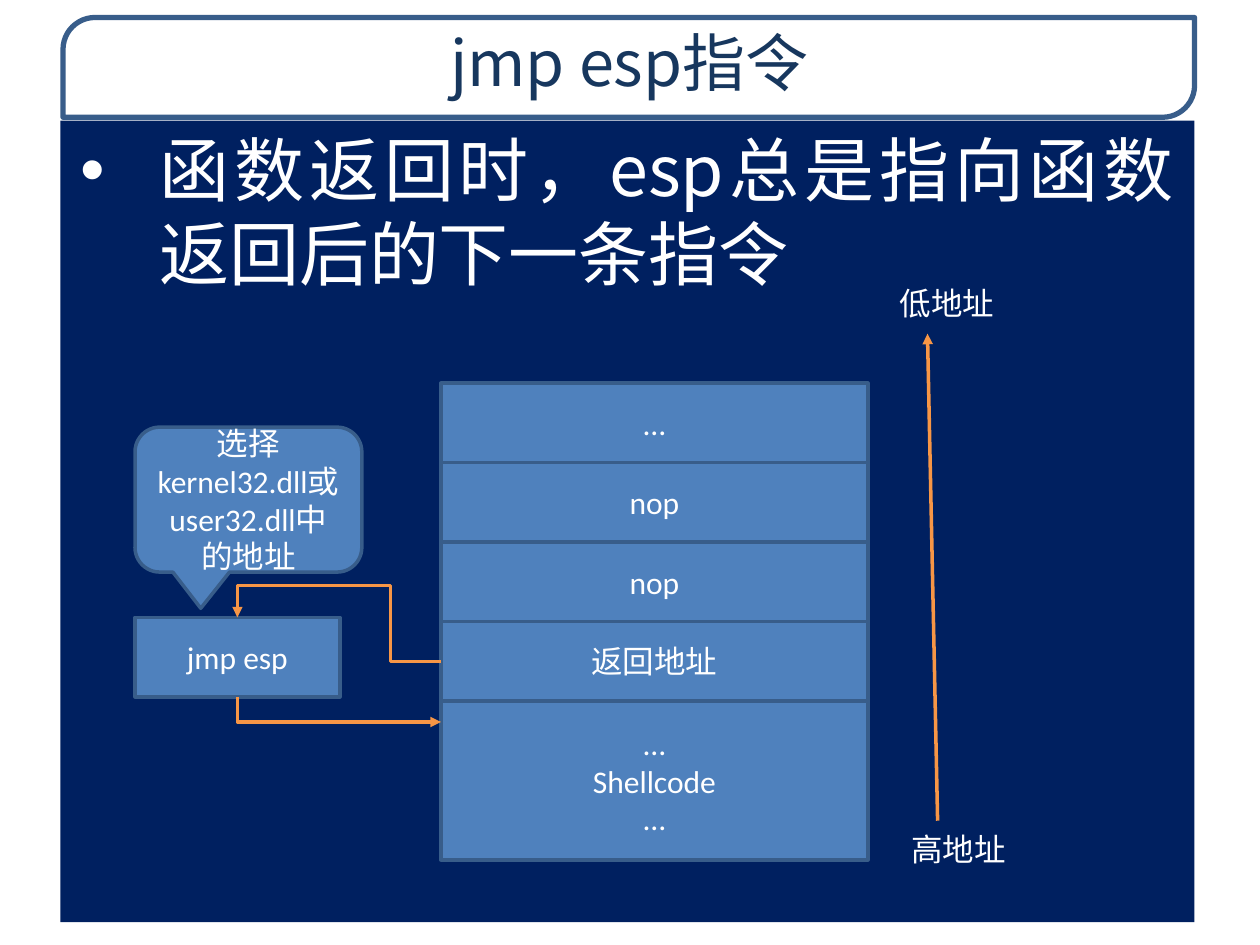
from lxml import etree
from pptx import Presentation
from pptx.dml.color import RGBColor
from pptx.enum.shapes import MSO_CONNECTOR, MSO_SHAPE
from pptx.enum.text import MSO_ANCHOR, PP_ALIGN
from pptx.oxml.ns import qn
from pptx.util import Pt

COLORS = {
    "white": "FFFFFF", "title": "17375E", "panel": "002060",
    "cell": "4F81BD", "border": "385D8A", "arrow": "F79646",
}
HEADING_FONT = "Noto Sans CJK SC"
ROW_H = 45.4


def rgb(name):
    return RGBColor.from_string(COLORS[name])


def add_box(s, kind, box, fill, line_width=0):
    sp = s.shapes.add_shape(kind, *map(Pt, box))
    sp.shadow.inherit = False
    sp.fill.solid()
    sp.fill.fore_color.rgb = rgb(fill)
    if line_width:
        sp.line.color.rgb = rgb("border")
        sp.line.width = Pt(line_width)
    else:
        sp.line.fill.background()
    return sp


def write(sp, lines, size=18, font="Calibri", color="white",
          align=PP_ALIGN.CENTER, anchor=MSO_ANCHOR.MIDDLE, wrap=True):
    tf = sp.text_frame
    tf.word_wrap = wrap
    tf.vertical_anchor = anchor
    for i, line in enumerate(lines):
        p = tf.paragraphs[0] if i == 0 else tf.add_paragraph()
        p.alignment = align
        r = p.add_run()
        r.text = line
        r.font.size = Pt(size)
        r.font.name = font
        r.font.color.rgb = rgb(color)
    return tf


def add_cell(s, box, lines, kind=MSO_SHAPE.RECTANGLE):
    sp = add_box(s, kind, box, "cell", 2)
    write(sp, lines)
    return sp


def add_arrow(s, start, end, preset="line", adjust=(), arrow_at="tailEnd"):
    cx = s.shapes.add_connector(MSO_CONNECTOR.STRAIGHT, *map(Pt, start + end))
    cx.line.color.rgb = rgb("arrow")
    cx.line.width = Pt(2)
    pr = cx.line._get_or_add_ln()
    etree.SubElement(pr, qn("a:" + arrow_at), type="triangle")
    sp_pr = pr.getparent()
    etree.SubElement(sp_pr, qn("a:effectLst"))
    geom = sp_pr.find(qn("a:prstGeom"))
    geom.set("prst", preset)
    guides = geom.find(qn("a:avLst"))
    for i, value in enumerate(adjust, 1):
        etree.SubElement(guides, qn("a:gd"), name=f"adj{i}", fmla=f"val {value}")


def title_bar(s, x, y, w, h):
    frame = add_box(s, MSO_SHAPE.ROUND_2_DIAG_RECTANGLE, (x, y, w, h), "white", 3)
    frame.adjustments[0] = 0.32
    frame.adjustments[1] = 0
    tb = s.shapes.add_textbox(*map(Pt, (x + 0.7, y, w - 0.7, h - 2)))
    write(tb, ["jmp esp指令"], 36, HEADING_FONT, "title", anchor=MSO_ANCHOR.TOP)


def body_panel(s, x, y, w, h):
    panel = add_box(s, MSO_SHAPE.RECTANGLE, (x, y, w, h), "panel")
    tf = write(panel, ["函数返回时，esp总是指向函数返回后的下一条指令"], 40,
               HEADING_FONT, align=PP_ALIGN.JUSTIFY, anchor=MSO_ANCHOR.TOP)
    tf.margin_left = tf.margin_right = Pt(11.5)
    p = tf.paragraphs[0]
    p.space_before = Pt(10)
    # Hanging bullet
    p_pr = p._p.get_or_add_pPr()
    p_pr.set("marL", str(Pt(45)))
    p_pr.set("indent", str(-Pt(45)))
    bullet_color = etree.SubElement(p_pr, qn("a:buClr"))
    etree.SubElement(bullet_color, qn("a:srgbClr"), val=COLORS["white"])
    etree.SubElement(p_pr, qn("a:buFont"), typeface="Arial")
    etree.SubElement(p_pr, qn("a:buChar"), char="•")


def memory_stack(s, x, y, w, row_h):
    rows = [["…"], ["nop"], ["nop"], ["返回地址"], ["…", "Shellcode", "…"]]
    for i, lines in enumerate(rows):
        span = 2 if len(lines) > 1 else 1
        add_cell(s, (x, y + i * row_h, w, span * row_h), lines)


def address_axis(s, x, y, h):
    add_arrow(s, (x + 28.8, y + h - 31), (x + 23, y + 31.7))
    for dx, dy, label in ((0, 0, "低地址"), (6.5, h - 29, "高地址")):
        tb = s.shapes.add_textbox(*map(Pt, (x + dx, y + dy, 68.4, 29)))
        write(tb, [label], font="Arial", align=PP_ALIGN.LEFT,
              anchor=MSO_ANCHOR.TOP, wrap=False)


def jump_flow(s, x, y, w, stack_x):
    mid = x + w / 2
    add_cell(s, (x, y, w, ROW_H), ["jmp esp"])
    # Return address to jmp esp, then jmp esp to the shellcode
    add_arrow(s, (stack_x, y + 25.2), (mid, y), "bentConnector4", (24900, 172300))
    add_arrow(s, (stack_x, y + 59.8), (mid, y + ROW_H), "bentConnector2",
              arrow_at="headEnd")
    callout = add_cell(s, (x, y - 108.7, 129.6, 82.8),
                       ["选择kernel32.dll或user32.dll中的地址"],
                       MSO_SHAPE.ROUNDED_RECTANGULAR_CALLOUT)
    for i, value in enumerate((-0.21, 0.75, 0.17)):
        callout.adjustments[i] = value


def main():
    prs = Presentation()
    prs.slide_width, prs.slide_height = Pt(720), Pt(540)
    s = prs.slides.add_slide(prs.slide_layouts[6])
    title_bar(s, 36, 10, 646.6, 57)
    body_panel(s, 34.5, 69, 648, 458)
    memory_stack(s, 252, 219, 244, ROW_H)
    address_axis(s, 507, 159, 341)
    jump_flow(s, 77.2, 352.8, 117, 252)
    prs.save("out.pptx")


if __name__ == "__main__":
    main()
